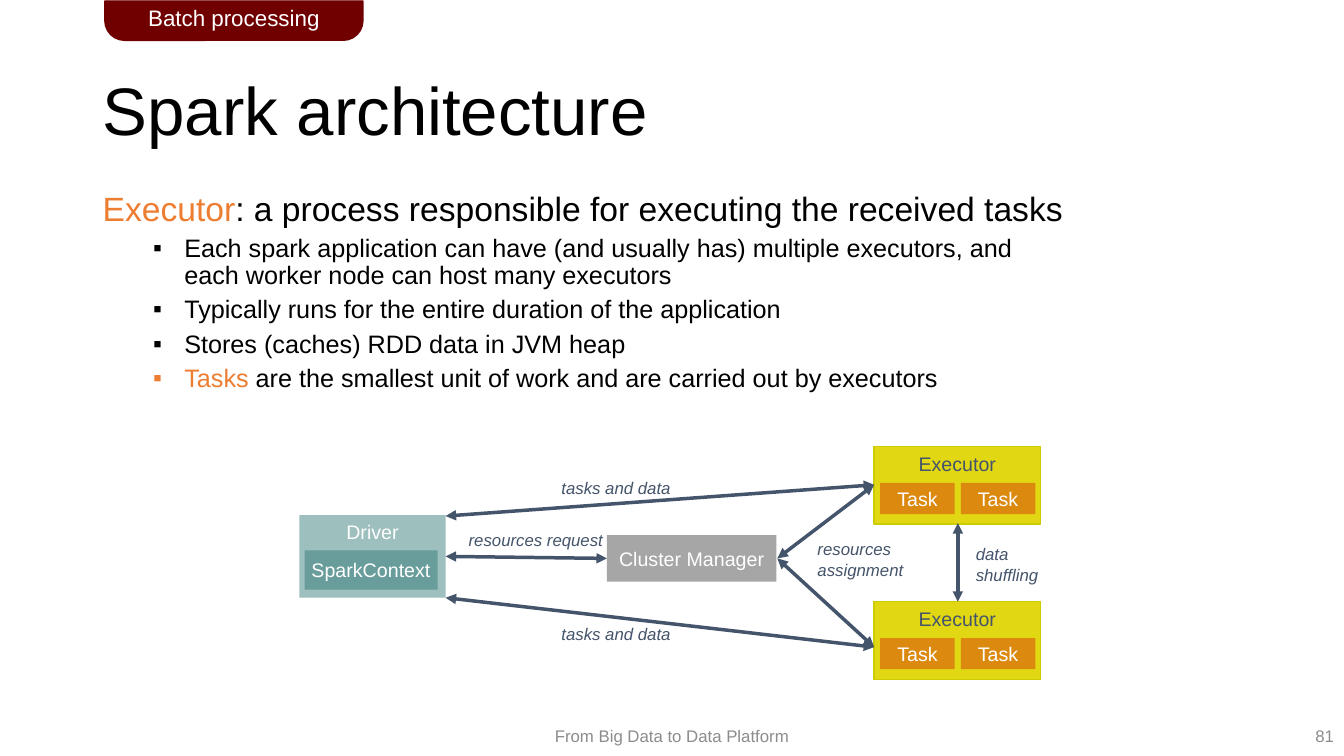
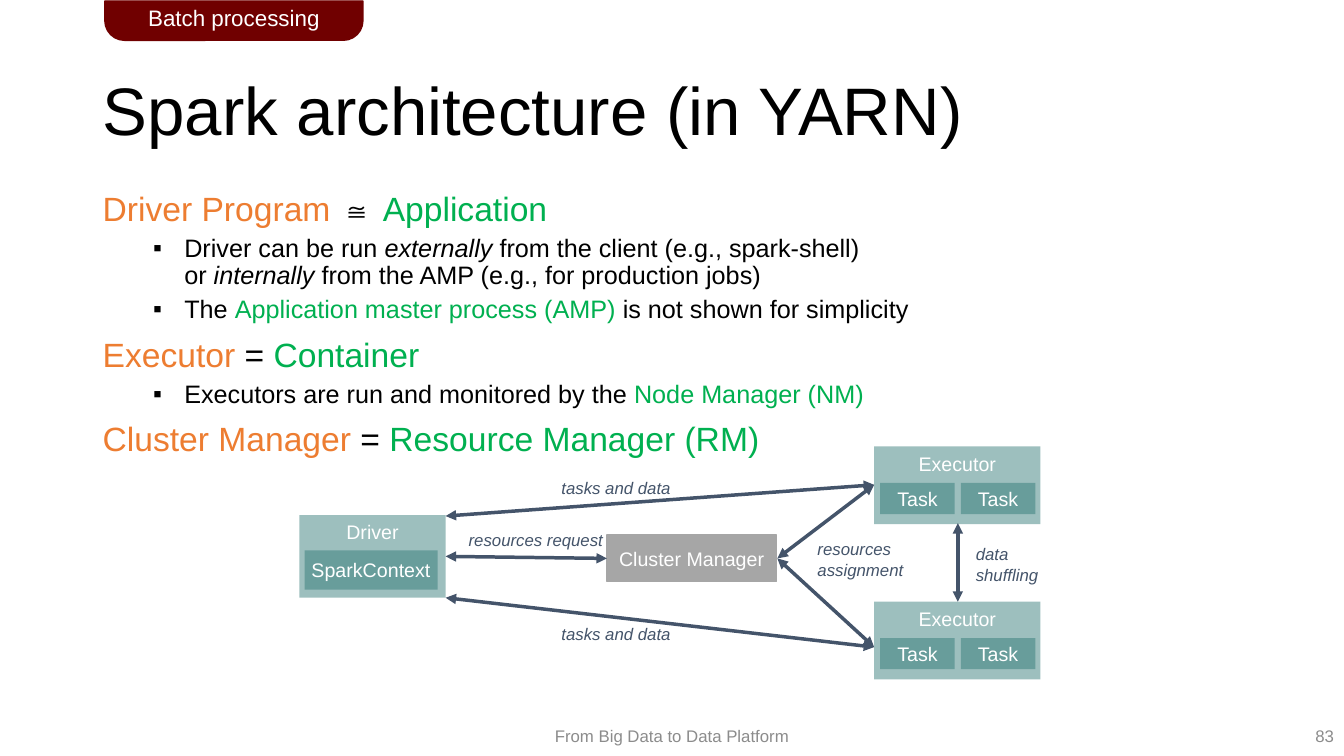
from dataclasses import dataclass
from typing import Any, NamedTuple

from lxml.etree import SubElement
from pptx import Presentation
from pptx.dml.color import RGBColor
from pptx.enum.shapes import MSO_CONNECTOR as Link, MSO_SHAPE as Form
from pptx.enum.text import MSO_ANCHOR as Anchor, MSO_AUTO_SIZE as Fit, PP_ALIGN as Align
from pptx.oxml.ns import qn
from pptx.util import Pt

# Scale: 100 px to the inch
PX = 9144
WIDTH, HEIGHT = 1333, 750

# Colours
BLACK, WHITE, SLATE = "000000", "FFFFFF", "44546A"
GREY, SILVER, MAROON = "8C8C8C", "A6A6A6", "700000"
ORANGE, GREEN = "ED7D31", "00B050"
TEAL, DEEP = "9DBFBE", "689D9B"

# Paragraph formats
HEAD = {"line_spacing": 0.9, "space_before": Pt(10)}
ITEM = {"line_spacing": 0.9, "space_before": Pt(5)}
TITLE = {"line_spacing": 0.9}
LEFT = {"alignment": Align.LEFT}
MID = {"alignment": Align.CENTER}
RIGHT = {"alignment": Align.RIGHT}


class Rect(NamedTuple):
    x: int
    y: int
    w: int
    h: int


class Run(NamedTuple):
    text: str
    color: str = BLACK
    italic: bool = False


@dataclass(frozen=True)
class Line:
    """One paragraph of the body: a heading, or a bulleted item."""
    runs: list[Run]
    item: bool = True


@dataclass(frozen=True)
class Box:
    rect: Rect
    text: str
    fill: str
    ink: str = WHITE
    edge: str | None = None
    anchor: Anchor = Anchor.MIDDLE


class Label(NamedTuple):
    rect: Rect
    lines: list[str]


class Arrow(NamedTuple):
    x1: int
    y1: int
    x2: int
    y2: int


@dataclass(frozen=True)
class Skin:
    """Colours of the parts of the diagram that differ by slide."""
    fill: str
    ink: str
    task: str
    edge: str | None = None
    rim: str | None = None


@dataclass(frozen=True)
class Page:
    title: str
    number: int
    body: list[Line]
    skin: Skin


# Diagram
HOSTS = [Rect(867, top, 165, 77) for top in (443, 597)]
ARROWS = [
    Arrow(950, 519, 950, 597),
    Arrow(442, 552, 602, 554),
    Arrow(771, 554, 867, 481),
    Arrow(771, 554, 867, 642),
    Arrow(442, 512, 867, 481),
    Arrow(442, 593, 867, 642),
]
LABELS = [
    Label(Rect(455, 521, 154, 30), ["resources request"]),
    Label(Rect(547, 469, 129, 30), ["tasks and data"]),
    Label(Rect(547, 614, 129, 30), ["tasks and data"]),
    Label(Rect(801, 530, 106, 50), ["resources", "assignment"]),
    Label(Rect(958, 535, 83, 50), ["data", "shuffling"]),
]

# Slides
PAGES = [
    Page("Spark architecture", 81, [
        Line([Run("Executor", ORANGE),
              Run(": a process responsible for executing the received tasks")], False),
        Line([Run("Each spark application can have (and usually has) multiple executors, and\n"
                  "each worker node can host many executors")]),
        Line([Run("Typically runs for the entire duration of the application")]),
        Line([Run("Stores (caches) RDD data in JVM heap")]),
        Line([Run("Tasks", ORANGE),
              Run(" are the smallest unit of work and are carried out by executors")]),
    ], Skin("E1D713", SLATE, "DC8910", edge="CCCC00")),
    Page("Spark architecture (in YARN)", 83, [
        Line([Run("Driver Program ", ORANGE), Run("≅ "), Run("Application", GREEN)], False),
        Line([Run("Driver can be run "), Run("externally ", italic=True),
              Run("from the client (e.g., spark-shell)\nor "),
              Run("internally ", italic=True),
              Run("from the AMP (e.g., for production jobs)")]),
        Line([Run("The "), Run("Application master process (AMP) ", GREEN),
              Run("is not shown for simplicity")]),
        Line([Run("Executor", ORANGE), Run(" = "), Run("Container", GREEN)], False),
        Line([Run("Executors are run and monitored by the "),
              Run("Node Manager (NM)", GREEN)]),
        Line([Run("Cluster Manager ", ORANGE), Run("= "),
              Run("Resource Manager (RM)", GREEN)], False),
    ], Skin(TEAL, WHITE, DEEP, rim=SILVER)),
]


# Helpers
def rgb(color: str) -> RGBColor:
    return RGBColor.from_string(color)


def scale(nums) -> list[int]:
    return [n * PX for n in nums]


def style(part: Any, form: dict[str, Any]) -> None:
    for key, value in form.items():
        setattr(part, key, value)


def write(para, runs: list[Run], size: int, form: dict[str, Any]) -> None:
    style(para, form)
    for run in runs:
        for i, text in enumerate(run.text.split("\n")):
            if i:
                para.add_line_break()
            part = para.add_run()
            part.text = text
            style(part.font, {"name": "Arial", "size": Pt(size), "italic": run.italic})
            part.font.color.rgb = rgb(run.color)


def bullet(para) -> None:
    props = para._p.get_or_add_pPr()
    props.set("marL", str(81 * PX))
    props.set("indent", str(-31 * PX))
    SubElement(props, qn("a:buFont"), typeface="Arial")
    SubElement(props, qn("a:buChar"), char="▪")


def add_text(slide, rect: Rect, run: Run, size: int, form: dict[str, Any]) -> None:
    frame = slide.shapes.add_textbox(*scale(rect)).text_frame
    style(frame, {"word_wrap": True, "vertical_anchor": Anchor.MIDDLE})
    write(frame.paragraphs[0], [run], size, form)


def add_box(slide, box: Box, size: int = 14, form: Form = Form.RECTANGLE):
    shape = slide.shapes.add_shape(form, *scale(box.rect))
    shape.shadow.inherit = False
    shape.fill.solid()
    shape.fill.fore_color.rgb = rgb(box.fill)
    if box.edge:
        shape.line.color.rgb = rgb(box.edge)
        shape.line.width = Pt(1)
    else:
        shape.line.fill.background()
    frame = shape.text_frame
    style(frame, {"word_wrap": True, "vertical_anchor": box.anchor,
                  "margin_left": 4 * PX, "margin_right": 4 * PX})
    write(frame.paragraphs[0], [Run(box.text, box.ink)], size, MID)
    return shape


def add_label(slide, label: Label) -> None:
    frame = slide.shapes.add_textbox(*scale(label.rect)).text_frame
    style(frame, {"word_wrap": False, "auto_size": Fit.SHAPE_TO_FIT_TEXT})
    for i, text in enumerate(label.lines):
        para = frame.add_paragraph() if i else frame.paragraphs[0]
        write(para, [Run(text, SLATE, True)], 12, LEFT)


def add_arrow(slide, arrow: Arrow) -> None:
    link = slide.shapes.add_connector(Link.STRAIGHT, *scale(arrow))
    link.line.color.rgb = rgb(SLATE)
    link.line.width = Pt(2.5)
    stroke = link.line._get_or_add_ln()
    for end in ("a:headEnd", "a:tailEnd"):
        SubElement(stroke, qn(end), type="triangle")
    SubElement(link._element.spPr, qn("a:effectLst"))


# Parts of a slide
def add_frame(slide, page: Page) -> None:
    tab = add_box(slide, Box(Rect(104, 1, 256, 39), "Batch processing", MAROON, edge=MAROON),
                  16, Form.ROUND_2_SAME_RECTANGLE)
    tab.adjustments[0], tab.adjustments[1] = 0, 0.5
    add_text(slide, Rect(92, 40, 1150, 145), Run(page.title), 48, TITLE)
    add_text(slide, Rect(479, 710, 375, 40), Run("From Big Data to Data Platform", GREY), 12, MID)
    add_text(slide, Rect(1033, 710, 300, 40), Run(str(page.number), GREY), 12, RIGHT)


def add_body(slide, body: list[Line]) -> None:
    frame = slide.shapes.add_textbox(*scale(Rect(92, 186, 1150, 476))).text_frame
    frame.word_wrap = True
    for i, line in enumerate(body):
        para = frame.add_paragraph() if i else frame.paragraphs[0]
        if line.item:
            bullet(para)
        size, form = (18, ITEM) if line.item else (24, HEAD)
        write(para, line.runs, size, form if i else TITLE)


def add_graph(slide, skin: Skin) -> None:
    boxes = [
        Box(Rect(602, 531, 168, 46), "Cluster Manager", SILVER, edge=skin.rim),
        Box(Rect(297, 511, 145, 82), "Driver", TEAL, anchor=Anchor.TOP),
        Box(Rect(302, 546, 132, 39), "SparkContext", DEEP),
    ]
    for host in HOSTS:
        boxes.append(Box(host, "Executor", skin.fill, skin.ink, skin.edge, Anchor.TOP))
        boxes += [Box(Rect(host.x + 6 + 80 * i, host.y + 36, 74, 31), "Task", skin.task)
                  for i in range(2)]
    for box in boxes:
        add_box(slide, box)
    for arrow in ARROWS:
        add_arrow(slide, arrow)
    for label in LABELS:
        add_label(slide, label)


def main() -> None:
    deck = Presentation()
    deck.slide_width, deck.slide_height = scale((WIDTH, HEIGHT))
    for page in PAGES:
        slide = deck.slides.add_slide(deck.slide_layouts[6])
        add_frame(slide, page)
        add_body(slide, page.body)
        add_graph(slide, page.skin)
    deck.save("out.pptx")


if __name__ == "__main__":
    main()
